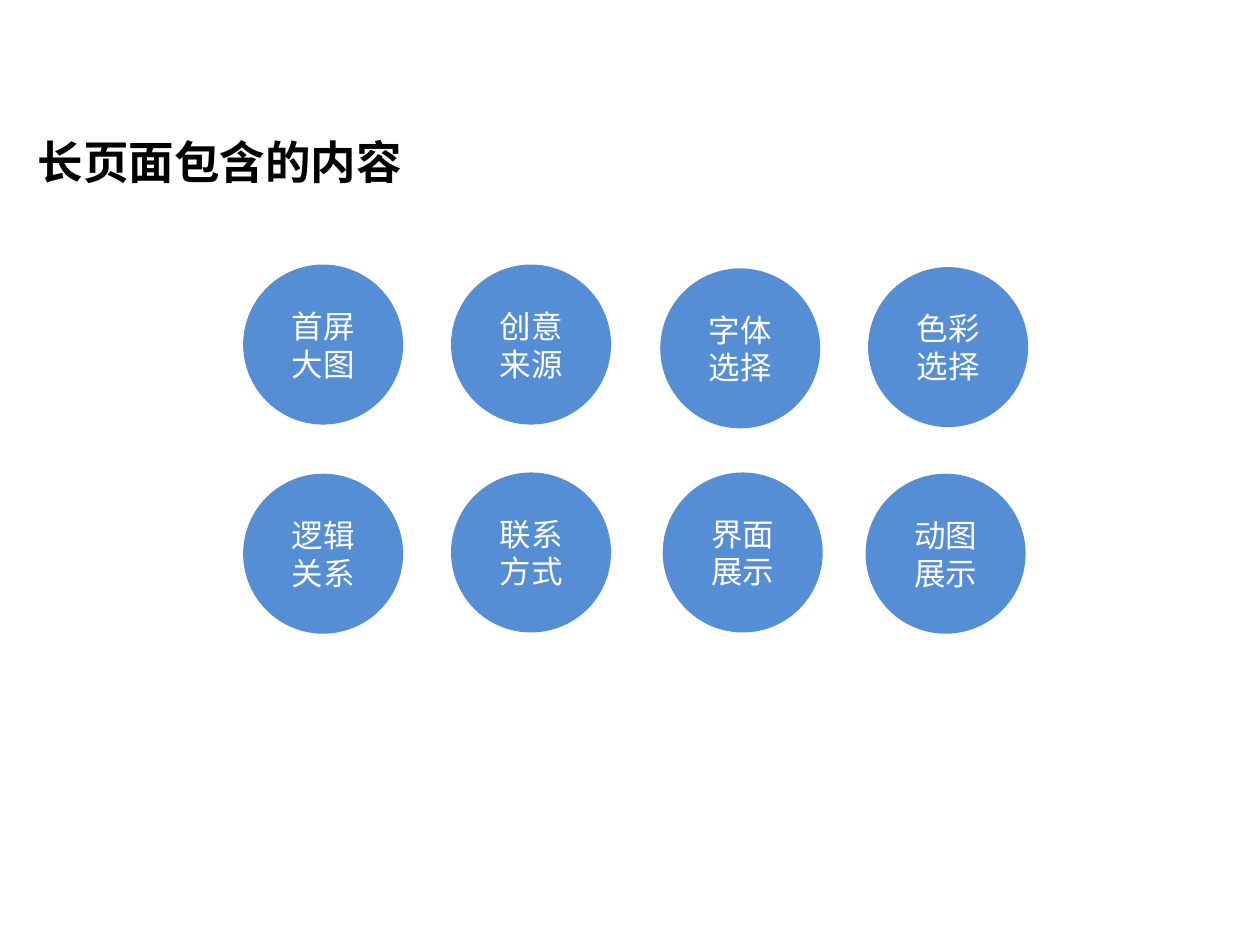
from dataclasses import dataclass

from pptx import Presentation
from pptx.dml.color import RGBColor
from pptx.enum.shapes import MSO_SHAPE
from pptx.enum.text import MSO_ANCHOR, MSO_AUTO_SIZE, PP_ALIGN
from pptx.oxml.ns import qn
from pptx.util import Inches, Pt
from lxml import etree

OVAL = MSO_SHAPE.OVAL
TOP = MSO_ANCHOR.TOP
NO_FIT = MSO_AUTO_SIZE.NONE
LEFT, CENTER = PP_ALIGN.LEFT, PP_ALIGN.CENTER
TITLE_ONLY = 5
DIAMETER = 1.27


@dataclass(frozen=True)
class Theme:
    circle: RGBColor = RGBColor(0x55, 0x8E, 0xD5)
    ink: RGBColor = RGBColor(0, 0, 0)
    label: RGBColor = RGBColor(255, 255, 255)
    latin: str = "Arial"
    cjk: str = "Noto Sans CJK SC"
    title_size: int = 26
    label_size: int = 18


THEME = Theme()

TOPICS = [
    ("首屏\n大图", 1.93, 2.10),
    ("创意来源", 3.58, 2.10),
    ("字体选择", 5.24, 2.13),
    ("色彩选择", 6.89, 2.12),
    ("界面展示", 5.26, 3.75),
    ("逻辑关系", 1.93, 3.76),
    ("联系方式", 3.58, 3.75),
    ("动图展示", 6.87, 3.76),
]


def style_text(tf, align, size, color, latin, bold=False):
    for p in tf.paragraphs:
        p.alignment = align
        font = p.font
        font.name, font.size, font.bold = latin, Pt(size), bold
        font.color.rgb = color
        ea = etree.SubElement(p._p.pPr.find(qn("a:defRPr")), qn("a:ea"))
        ea.set("typeface", THEME.cjk)


def add_title(s, text):
    sp = s.shapes.title
    sp.left, sp.top = Inches(0.2), Inches(1.01)
    sp.width, sp.height = Inches(8.85), Inches(0.54)
    tf = sp.text_frame
    tf.text = text
    tf.vertical_anchor = TOP
    tf.auto_size = NO_FIT
    style_text(tf, LEFT, THEME.title_size, THEME.ink, THEME.cjk, bold=True)


def add_circle(s, text, left, top):
    sp = s.shapes.add_shape(OVAL, Inches(left), Inches(top),
                            Inches(DIAMETER), Inches(DIAMETER))
    sp.shadow.inherit = False
    sp.fill.solid()
    sp.fill.fore_color.rgb = THEME.circle
    sp.line.fill.background()
    tf = sp.text_frame
    tf.text = text
    tf.word_wrap = True
    style_text(tf, CENTER, THEME.label_size, THEME.label, THEME.latin)


def main():
    prs = Presentation()
    prs.slide_width, prs.slide_height = Inches(10), Inches(7.5)
    s = prs.slides.add_slide(prs.slide_layouts[TITLE_ONLY])
    add_title(s, "长页面包含的内容")
    for text, left, top in TOPICS:
        add_circle(s, text, left, top)
    prs.save("out.pptx")


if __name__ == "__main__":
    main()
